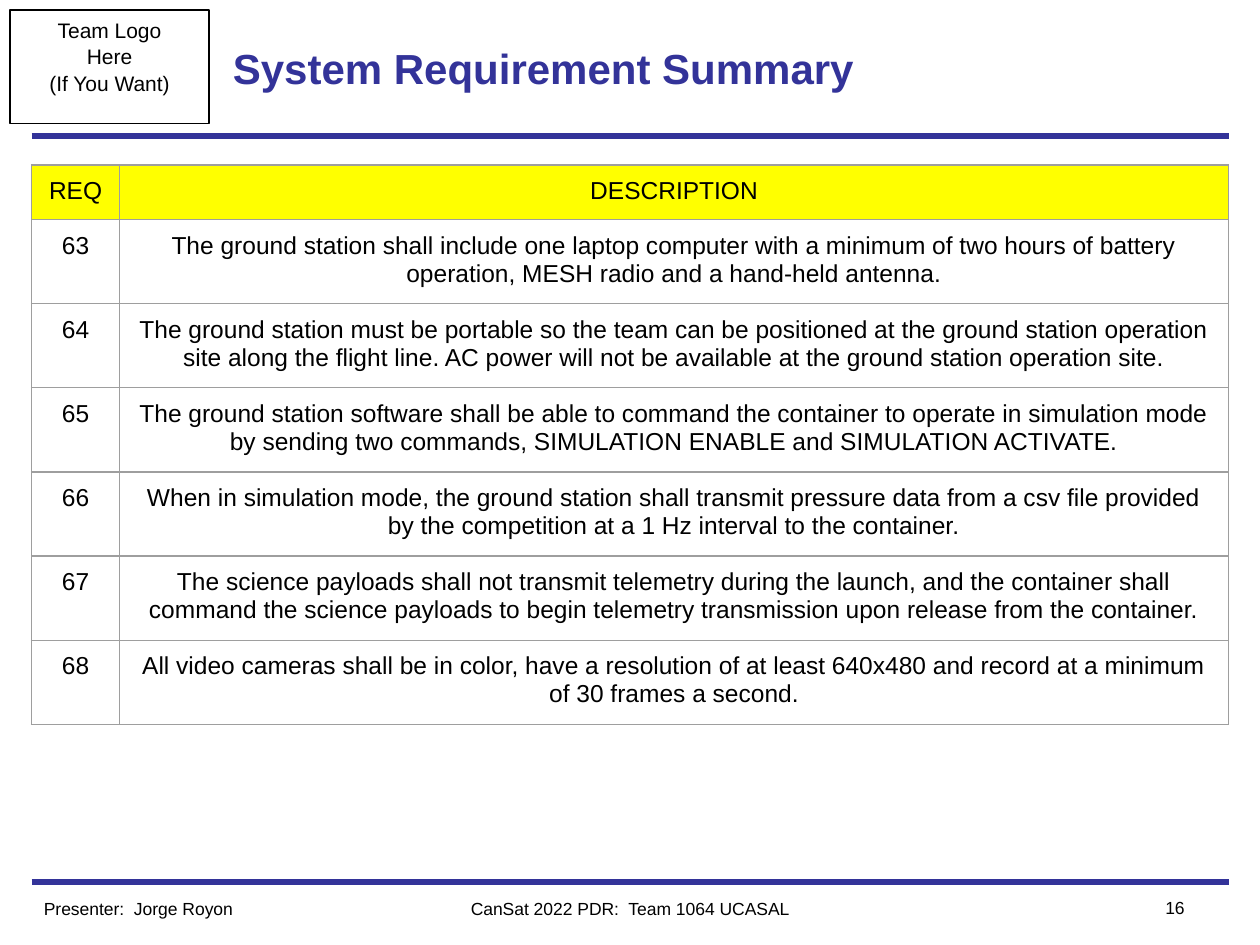
"""Build the system requirement summary slide."""
from lxml import etree
from pptx import Presentation
from pptx.dml.color import RGBColor
from pptx.enum import shapes, text
from pptx.oxml import ns
from pptx.util import Inches, Pt

NAVY = RGBColor(0x33, 0x33, 0x99)
BLACK = RGBColor(0, 0, 0)
YELLOW = RGBColor(0xFF, 0xFF, 0)
GRID_GRAY = RGBColor(0x9E, 0x9E, 0x9E)
LEFT, CENTER, RIGHT = text.PP_ALIGN.LEFT, text.PP_ALIGN.CENTER, text.PP_ALIGN.RIGHT

REQUIREMENTS = [
    ("REQ", "DESCRIPTION"),
    ("63", "The ground station shall include one laptop computer with a minimum of two hours "
           "of battery operation, MESH radio and a hand-held antenna."),
    ("64", "The ground station must be portable so the team can be positioned at the ground "
           "station operation site along the flight line. AC power will not be available at "
           "the ground station operation site."),
    ("65", "The ground station software shall be able to command the container to operate in "
           "simulation mode by sending two commands, SIMULATION ENABLE and SIMULATION ACTIVATE."),
    ("66", "When in simulation mode, the ground station shall transmit pressure data from a "
           "csv file provided by the competition at a 1 Hz interval to the container."),
    ("67", "The science payloads shall not transmit telemetry during the launch, and the "
           "container shall command the science payloads to begin telemetry transmission upon "
           "release from the container."),
    ("68", "All video cameras shall be in color, have a resolution of at least 640x480 and "
           "record at a minimum of 30 frames a second."),
]


def write(frame, lines, size, align, color=BLACK, bold=False, spacing=None):
    """Fill a text frame with one paragraph per line."""
    frame.word_wrap = True
    for index, line in enumerate(lines):
        paragraph = frame.paragraphs[0] if index == 0 else frame.add_paragraph()
        paragraph.alignment = align
        paragraph.line_spacing = spacing
        run = paragraph.add_run()
        run.text = line
        run.font.name = "Arial"
        run.font.size = Pt(size)
        run.font.bold = bold
        run.font.color.rgb = color


def add_label(slide, box, label, size, align, color=BLACK, bold=False):
    """Add a one-line text box and return its frame."""
    frame = slide.shapes.add_textbox(*map(Inches, box)).text_frame
    write(frame, [label], size, align, color, bold)
    return frame


def add_rule(slide, y):
    """Draw a horizontal rule across the slide."""
    rule = slide.shapes.add_connector(
        shapes.MSO_CONNECTOR.STRAIGHT, Inches(0.25), Inches(y), Inches(9.75), Inches(y))
    rule.line.color.rgb = NAVY
    rule.line.width = Pt(3)
    etree.SubElement(rule._element.spPr, ns.qn("a:effectLst"))


def add_logo_box(slide):
    """Add the outlined box reserved for the team logo."""
    logo_box = slide.shapes.add_shape(
        shapes.MSO_SHAPE.RECTANGLE, *map(Inches, (0.08, 0.08, 1.58, 0.9)))
    logo_box.shadow.inherit = False
    logo_box.fill.background()
    logo_box.line.color.rgb = BLACK
    logo_box.line.width = Pt(0.75)
    frame = logo_box.text_frame
    frame.vertical_anchor = text.MSO_ANCHOR.TOP
    write(frame, ["Team Logo", "Here", "(If You Want)"], 12, CENTER, spacing=1.05)


def outline_cell(cell):
    """Give a cell thin gray borders on all sides."""
    properties = cell._tc.get_or_add_tcPr()
    for position, side in enumerate(("lnL", "lnR", "lnT", "lnB")):
        border = etree.Element(ns.qn(f"a:{side}"), w=str(Pt(0.75)))
        fill = etree.SubElement(border, ns.qn("a:solidFill"))
        etree.SubElement(fill, ns.qn("a:srgbClr"), val=str(GRID_GRAY))
        properties.insert(position, border)


def add_requirements(slide):
    """Add the table of requirements under a yellow header row."""
    row_height = Inches(0.42)
    table = slide.shapes.add_table(
        len(REQUIREMENTS), 2, Inches(0.25), Inches(1.31), Inches(9.5),
        row_height * len(REQUIREMENTS)).table
    table.columns[0].width = Inches(0.7)
    table.columns[1].width = Inches(8.8)
    for row, requirement in enumerate(REQUIREMENTS):
        for column, content in enumerate(requirement):
            cell = table.cell(row, column)
            cell.margin_left = cell.margin_right = Inches(0.1)
            cell.margin_top = cell.margin_bottom = Inches(0.1)
            if row == 0:
                cell.fill.solid()
                cell.fill.fore_color.rgb = YELLOW
            else:
                cell.fill.background()
            outline_cell(cell)
            write(cell.text_frame, [content], 14, CENTER)


def main():
    """Assemble and save the slide."""
    deck = Presentation()
    deck.slide_width, deck.slide_height = Inches(10), Inches(7.5)
    slide = deck.slides.add_slide(deck.slide_layouts[6])
    for y in (7, 1.08):
        add_rule(slide, y)
    add_logo_box(slide)
    title = add_label(slide, (1.75, 0.08, 6.5, 0.92), "System Requirement Summary",
                      24, LEFT, NAVY, True)
    title.vertical_anchor = text.MSO_ANCHOR.MIDDLE
    add_label(slide, (3, 7.08, 4, 0.27), "CanSat 2022 PDR:  Team 1064 UCASAL", 10, CENTER)
    add_label(slide, (8.75, 7.07, 0.75, 0.27), "16", 10, RIGHT)
    add_label(slide, (0.25, 7.08, 2.5, 0.27), "Presenter:  Jorge Royon", 10, LEFT)
    add_requirements(slide)
    deck.save("out.pptx")


if __name__ == "__main__":
    main()
